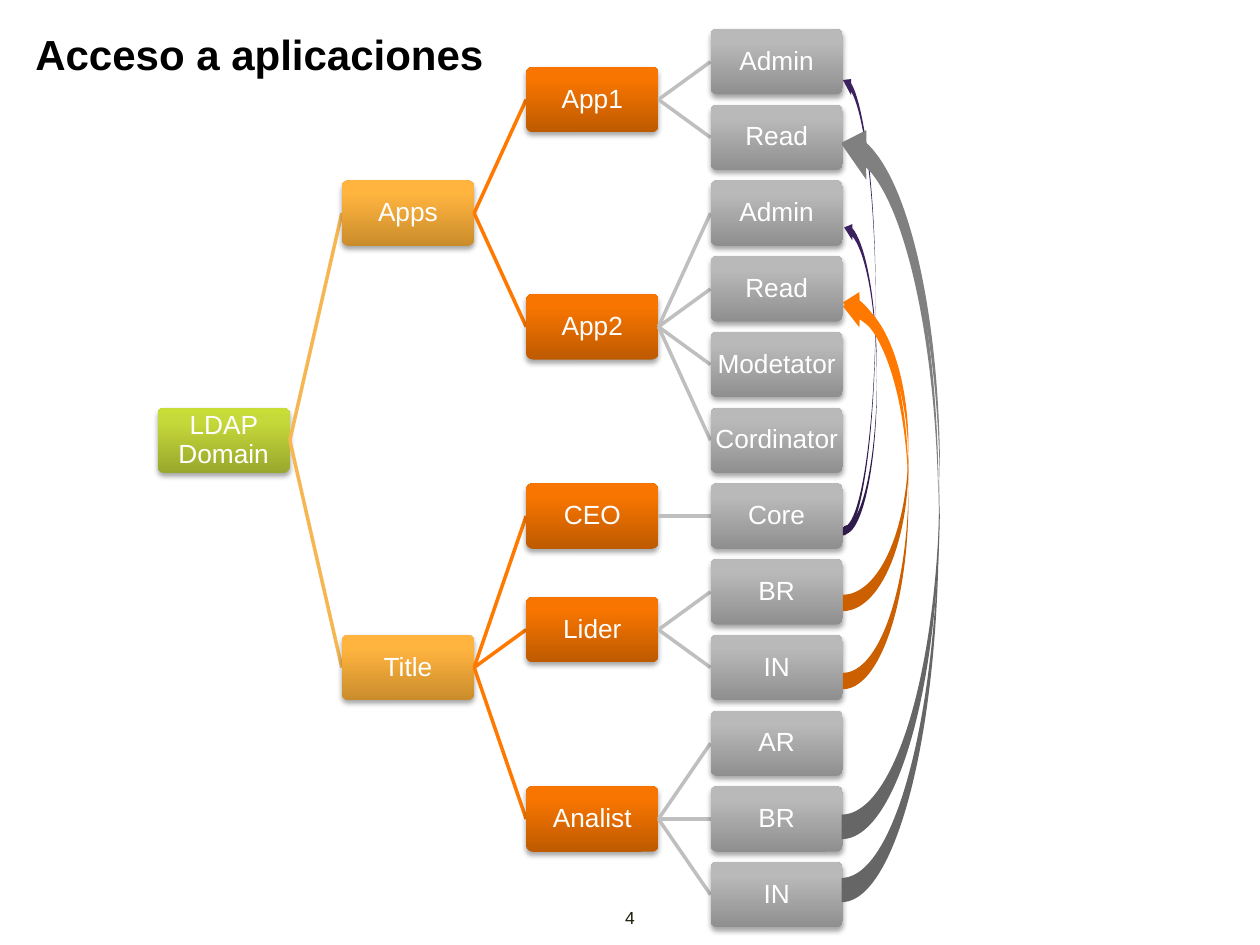
import lxml.etree
import pptx
import pptx.dml.color
import pptx.enum.shapes
import pptx.enum.text
import pptx.oxml
import pptx.oxml.ns
import pptx.util

Inches, Pt = pptx.util.Inches, pptx.util.Pt
PP_ALIGN, MSO_ANCHOR = pptx.enum.text.PP_ALIGN, pptx.enum.text.MSO_ANCHOR
MSO_SHAPE = pptx.enum.shapes.MSO_SHAPE

TITLE = "Acceso a aplicaciones"
PAGE = "4"

# Each node is (label, children)
TREE = ("LDAP Domain", [
    ("Apps", [
        ("App1", [("Admin", []), ("Read", [])]),
        ("App2", [("Admin", []), ("Read", []),
                  ("Modetator", []), ("Cordinator", [])]),
    ]),
    ("Title", [
        ("CEO", [("Core", [])]),
        ("Lider", [("BR", []), ("IN", [])]),
        ("Analist", [("AR", []), ("BR", []), ("IN", [])]),
    ]),
])

COLORS = {
    "title": "000000", "page": "1B1D08", "label": "FFFFFF",
    "purple": "3B225F", "orange": "FF7900", "gray": "808080",
}
# By tree level: gradient from bottom to top, and the line that leads in
LEVEL_FILLS = [
    ("99A72D", "C6D93A", "C9DD37"),
    ("CA8C2B", "FFB43F", "FFB540"),
    ("BE5A00", "F77500", "F87600"),
    ("8F8F8F", "B9B9B9", "BABABA"),
]
LEVEL_LINES = [None, "F6B652", "FF7900", "BFBFBF"]

# Access arrows from titles to apps: left, top, width, height, colour
ACCESS_ARROWS = [
    (6.69, 0.57, 0.26, 3.68, "purple"),
    (6.70, 1.74, 0.26, 2.50, "purple"),
    (6.69, 2.27, 0.52, 3.20, "orange"),
    (6.69, 2.30, 0.52, 2.55, "orange"),
    (6.68, 0.95, 0.78, 5.71, "gray"),
    (6.68, 0.94, 0.77, 6.22, "gray"),
]

BOX_W, BOX_H = 1.05, 0.52
LEFT, TOP = 1.25, 0.23
COL_STEP, ROW_STEP = 1.463, 0.601

NS = pptx.oxml.ns.nsdecls("a")
GRADIENT = (
    f'<a:gradFill {NS} rotWithShape="1"><a:gsLst>'
    '<a:gs pos="0"><a:srgbClr val="{}"/></a:gs>'
    '<a:gs pos="80000"><a:srgbClr val="{}"/></a:gs>'
    '<a:gs pos="100000"><a:srgbClr val="{}"/></a:gs>'
    '</a:gsLst><a:lin ang="16200000" scaled="0"/></a:gradFill>')
SHADOW = (
    f'<a:effectLst {NS}><a:outerShdw blurRad="{Pt(3.1)}" dist="{Pt(1.8)}" '
    'dir="5400000" rotWithShape="0"><a:srgbClr val="000000">'
    '<a:alpha val="35000"/></a:srgbClr></a:outerShdw></a:effectLst>')


def rgb(value):
    return pptx.dml.color.RGBColor.from_string(value)


def write(sp, text, size, color, align, anchor, inset=0, bold=False):
    tf = sp.text_frame
    tf.text = text
    tf.word_wrap = True
    tf.auto_size = pptx.enum.text.MSO_AUTO_SIZE.NONE
    tf.vertical_anchor = anchor
    tf.margin_left = tf.margin_right = Inches(inset)
    tf.margin_top = tf.margin_bottom = Inches(inset)
    p = tf.paragraphs[0]
    p.alignment = align
    font = p.runs[0].font
    font.name, font.size, font.bold = "Arial", Pt(size), bold
    font.color.rgb = rgb(color)
    return p


def place(node, level=0, row=0):
    """Lay out a subtree from a leaf row; a parent is centred on its children."""
    label, children = node
    placed, next_row = [], row
    for child in children:
        child_box, next_row = place(child, level + 1, next_row)
        placed.append(child_box)
    if placed:
        y = (placed[0]["y"] + placed[-1]["y"]) / 2
    else:
        y, next_row = TOP + row * ROW_STEP, row + 1
    box = {"label": label, "level": level, "children": placed,
           "x": LEFT + level * COL_STEP, "y": y}
    return box, next_row


def add_branch(shapes, parent, child):
    line = shapes.add_connector(
        pptx.enum.shapes.MSO_CONNECTOR.STRAIGHT,
        Inches(parent["x"] + BOX_W), Inches(parent["y"] + BOX_H / 2),
        Inches(child["x"]), Inches(child["y"] + BOX_H / 2))
    line.line.color.rgb = rgb(LEVEL_LINES[child["level"]])
    line.line.width = Pt(2)
    lxml.etree.SubElement(line._element.spPr, pptx.oxml.ns.qn("a:effectLst"))


def add_box(shapes, box):
    sp = shapes.add_shape(MSO_SHAPE.ROUNDED_RECTANGLE, Inches(box["x"]),
                          Inches(box["y"]), Inches(BOX_W), Inches(BOX_H))
    sp.adjustments[0] = 0.1
    sp.line.fill.background()
    gradient = GRADIENT.format(*LEVEL_FILLS[box["level"]])
    sp._element.spPr.find(pptx.oxml.ns.qn("a:ln")).addprevious(
        pptx.oxml.parse_xml(gradient))
    sp._element.spPr.append(pptx.oxml.parse_xml(SHADOW))
    p = write(sp, box["label"], 15, COLORS["label"], PP_ALIGN.CENTER,
              MSO_ANCHOR.MIDDLE, inset=0.02)
    p.line_spacing = 0.9


def add_tree(shapes, box):
    add_box(shapes, box)
    for child in box["children"]:
        add_branch(shapes, box, child)
        add_tree(shapes, child)


def add_access_arrow(shapes, x, y, w, h, color):
    sp = shapes.add_shape(MSO_SHAPE.CURVED_RIGHT_ARROW,
                          Inches(x), Inches(y), Inches(w), Inches(h))
    sp.rotation = 180
    sp.shadow.inherit = False
    sp.fill.solid()
    sp.fill.fore_color.rgb = rgb(COLORS[color])
    sp.line.fill.background()


def main():
    prs = pptx.Presentation()
    prs.slide_width, prs.slide_height = Inches(10), Inches(7.5)
    s = prs.slides.add_slide(prs.slide_layouts[5])

    title = s.shapes.title
    title.left, title.top = Inches(0.28), Inches(0.23)
    title.width, title.height = Inches(9.44), Inches(0.4)
    write(title, TITLE, 24, COLORS["title"], PP_ALIGN.LEFT, MSO_ANCHOR.TOP,
          bold=True)

    page = s.shapes.add_textbox(Inches(4.85), Inches(7.2),
                                Inches(0.3), Inches(0.17))
    write(page, PAGE, 10, COLORS["page"], PP_ALIGN.CENTER, MSO_ANCHOR.TOP)

    root, _ = place(TREE)
    add_tree(s.shapes, root)
    for arrow in ACCESS_ARROWS:
        add_access_arrow(s.shapes, *arrow)

    prs.save("out.pptx")


if __name__ == "__main__":
    main()
